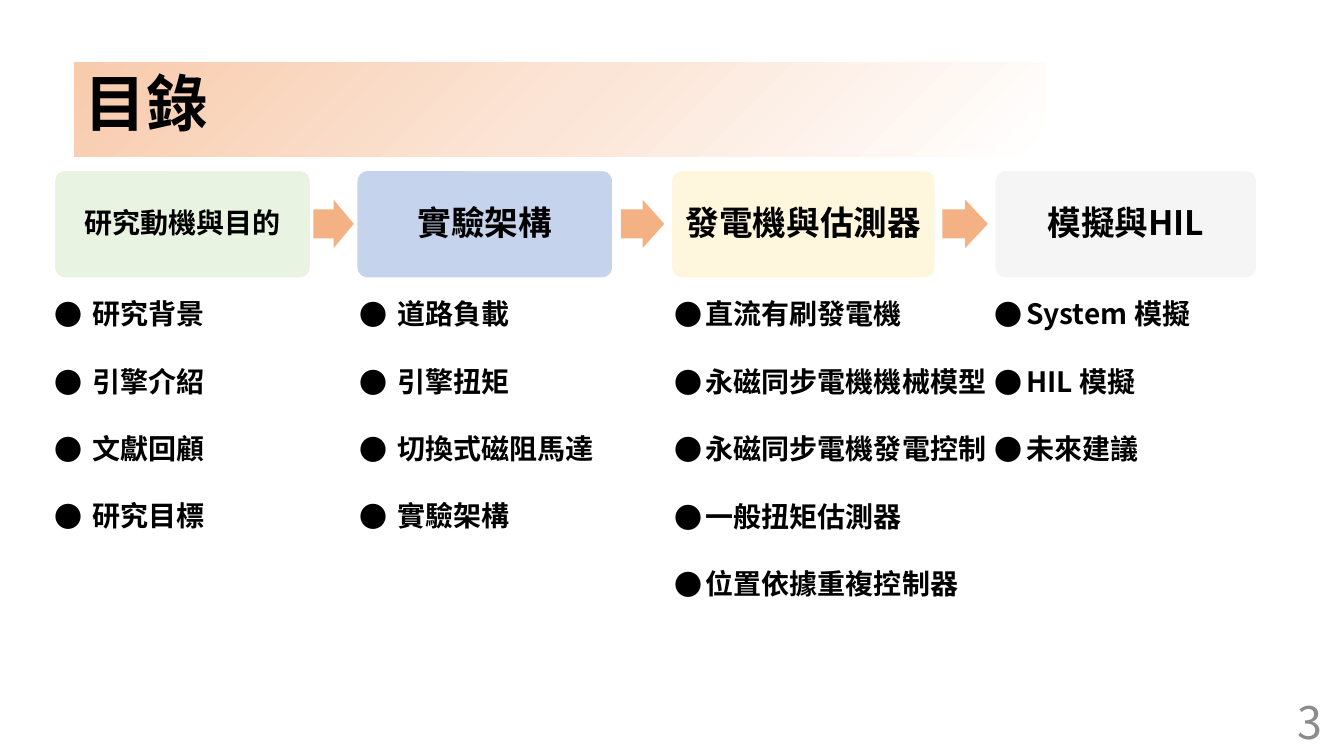
from lxml import etree
from pptx import Presentation
from pptx import util as u
from pptx.dml.color import RGBColor
from pptx.enum import shapes, text
from pptx.oxml import parse_xml
from pptx.oxml.ns import nsdecls, qn

COLORS = {
    "ink": "000000", "page": "8C8C8C", "white": "FFFFFF", "arrow": "F4B183",
    "green": "E2F0D9", "blue": "B4C7E7", "yellow": "FFF2CC", "gray": "EDEDED",
    "peach": "F8CBAD", "cream": "FBE5D6",
}
FONT = "Noto Sans CJK SC"

CHAPTERS = [
    ("研究動機與目的", 20, "green", 75, 38.9, 182.9, 31.7, 232, 27,
     ["研究背景", "引擎介紹", "文獻回顧", "研究目標"]),
    ("實驗架構", 24, "blue", 77, 254.9, 182.9, 249.8, 183, 27,
     ["道路負載", "引擎扭矩", "切換式磁阻馬達", "實驗架構"]),
    ("發電機與估測器", 24, "yellow", 63, 479.5, 188.6, 474.5, 248.4, 22.5,
     ["直流有刷發電機", "永磁同步電機機械模型", "永磁同步電機發電控制",
      "一般扭矩估測器", "位置依據重複控制器"]),
    ("模擬與HIL", 24, "gray", 50, 710.6, 187.2, 703.4, 248.4, 22.5,
     ["System 模擬", "HIL 模擬", "未來建議"]),
]
ARROWS = [(223.9, 28.8), (443.5, 31), (673.2, 32.4)]


class Slide:
    """Draws the elements of one slide in a shared style."""

    def __init__(self, deck):
        self.slide = deck.slides.add_slide(deck.slide_layouts[6])

    def style(self, paragraph, size, color="ink", bold=True):
        font = paragraph.font
        font.size, font.bold, font.name = u.Pt(size), bold, FONT
        font.color.rgb = RGBColor.from_string(COLORS[color])
        defaults = paragraph._p.pPr.find(qn("a:defRPr"))
        etree.SubElement(defaults, qn("a:ea")).set("typeface", FONT)

    def shape(self, kind, box, color, adjustments=(), opacity=100):
        shape = self.slide.shapes.add_shape(kind, *map(u.Pt, box))
        shape.shadow.inherit = False
        shape.line.fill.background()
        for index, value in enumerate(adjustments):
            shape.adjustments[index] = value
        shape.fill.solid()
        shape.fill.fore_color.rgb = RGBColor.from_string(COLORS[color])
        if opacity < 100:
            tint = shape._element.spPr.find(".//" + qn("a:srgbClr"))
            etree.SubElement(tint, qn("a:alpha")).set("val", str(opacity * 1000))
        return shape

    def label(self, shape, words, size, align):
        frame = shape.text_frame
        frame.word_wrap = True
        frame.vertical_anchor = text.MSO_ANCHOR.MIDDLE
        paragraph = frame.paragraphs[0]
        paragraph.text = words
        paragraph.alignment = align
        paragraph.line_spacing = 0.9
        self.style(paragraph, size)

    def title(self, words, box):
        banner = self.shape(shapes.MSO_SHAPE.RECTANGLE, box, "white")
        stops = "".join(
            f'<a:gs pos="{position * 1000}"><a:srgbClr val="{COLORS[color]}"/></a:gs>'
            for position, color in ((0, "peach"), (50, "cream"), (100, "white")))
        gradient = parse_xml(
            f'<a:gradFill {nsdecls("a")} rotWithShape="1"><a:gsLst>{stops}</a:gsLst>'
            '<a:path path="circle"><a:fillToRect r="100000" b="100000"/></a:path></a:gradFill>')
        properties = banner._element.spPr
        properties.replace(properties.find(qn("a:solidFill")), gradient)
        self.label(banner, words, 44, text.PP_ALIGN.LEFT)
        banner.text_frame.margin_bottom = u.Pt(8)

    def chapter(self, words, size, color, opacity, left, width):
        card = self.shape(shapes.MSO_SHAPE.ROUNDED_RECTANGLE, (left, 121.7, width, 77),
                          color, [0.1], opacity)
        card.line.color.rgb = RGBColor.from_string(COLORS["white"])
        card.line.width = u.Pt(1)
        self.label(card, words, size, text.PP_ALIGN.CENTER)

    def arrow(self, left, width):
        self.shape(shapes.MSO_SHAPE.RIGHT_ARROW, (left, 142.6, width, 34.6),
                   "arrow", [0.6, 0.5])

    def bullets(self, topics, left, width, indent):
        height = 48.1 * len(topics) - 15
        frame = self.slide.shapes.add_textbox(
            *map(u.Pt, (left, 206.6, width, height))).text_frame
        frame.word_wrap = True
        for index, topic in enumerate(topics):
            paragraph = frame.add_paragraph() if index else frame.paragraphs[0]
            paragraph.text = topic
            paragraph.line_spacing = u.Pt(26)
            if index:
                paragraph.space_before = u.Pt(22.1)
            properties = paragraph._p.get_or_add_pPr()
            properties.set("marL", str(u.Pt(indent)))
            properties.set("indent", str(-u.Pt(indent)))
            etree.SubElement(properties, qn("a:buFont")).set("typeface", FONT)
            etree.SubElement(properties, qn("a:buChar")).set("char", "●")
            self.style(paragraph, 20)

    def page_number(self, number, box):
        frame = self.slide.shapes.add_textbox(*map(u.Pt, box)).text_frame
        frame.word_wrap = True
        frame.vertical_anchor = text.MSO_ANCHOR.MIDDLE
        paragraph = frame.paragraphs[0]
        paragraph.text = number
        paragraph.alignment = text.PP_ALIGN.RIGHT
        self.style(paragraph, 32, "page", False)


def main():
    deck = Presentation()
    deck.slide_width, deck.slide_height = u.Pt(960), u.Pt(540)
    contents = Slide(deck)
    contents.title("目錄", (53.3, 44.6, 693.4, 67))
    for words, size, color, opacity, left, width, *_ in CHAPTERS:
        contents.chapter(words, size, color, opacity, left, width)
    for left, width in ARROWS:
        contents.arrow(left, width)
    for *_, left, width, indent, topics in CHAPTERS:
        contents.bullets(topics, left, width, indent)
    contents.page_number("3", (770.4, 478.8, 181.4, 72.7))
    deck.save("out.pptx")


if __name__ == "__main__":
    main()
